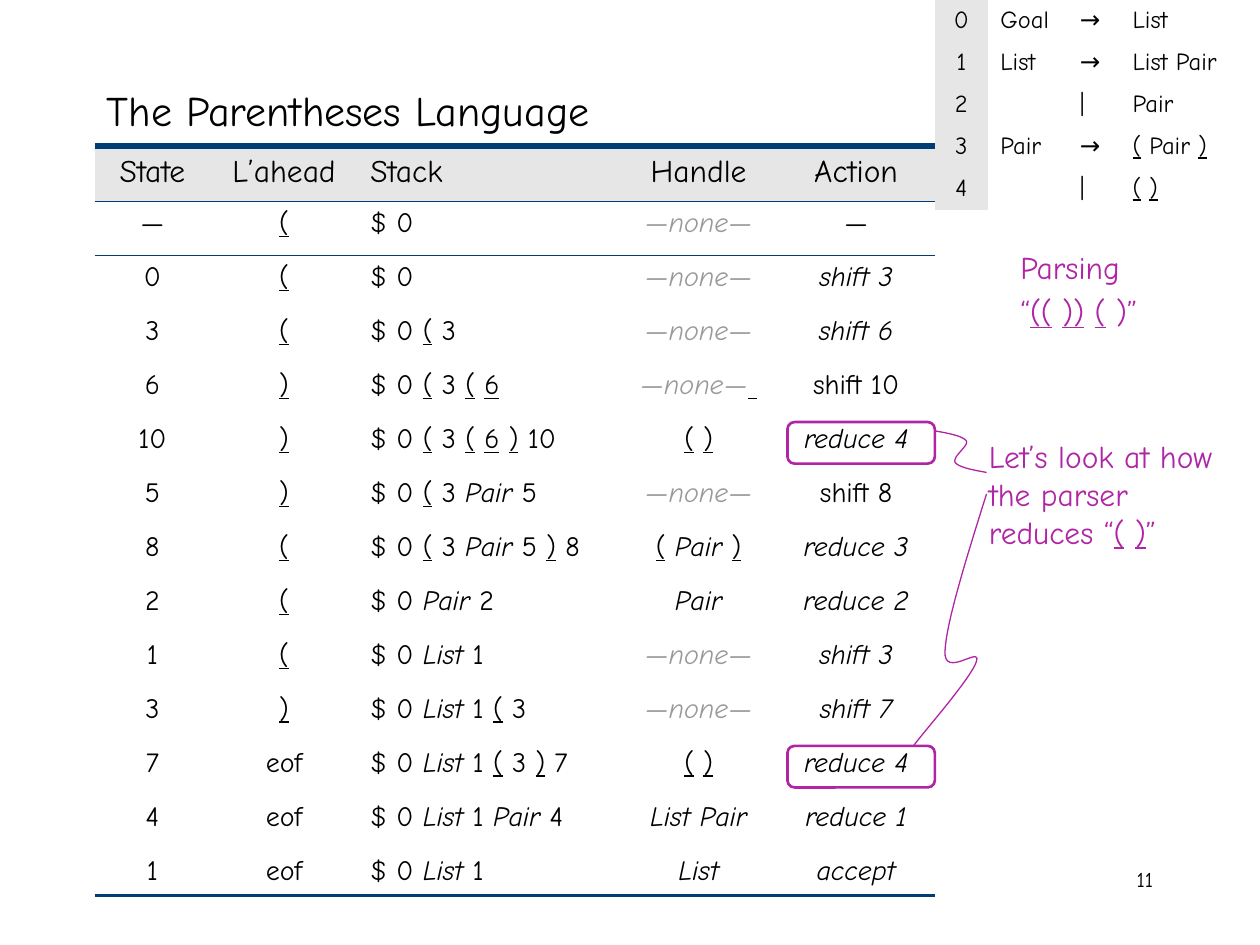
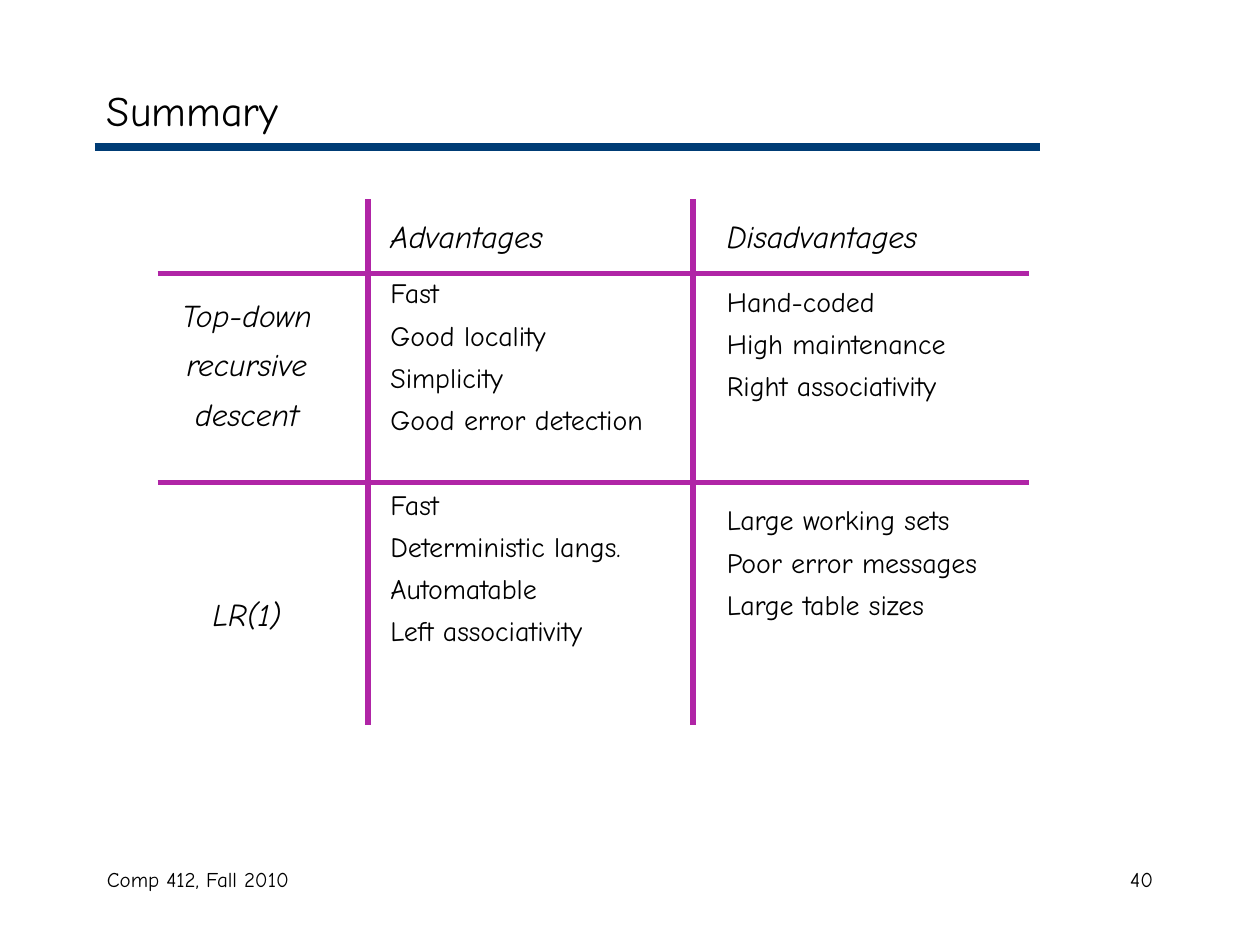
"""Build two compiler-course slides: an LR(1) parse trace and a parser comparison."""
from dataclasses import dataclass

from lxml.etree import SubElement
from pptx import Presentation
from pptx.dml.color import RGBColor
from pptx.enum.shapes import MSO_CONNECTOR, MSO_SHAPE
from pptx.enum.text import MSO_ANCHOR, PP_ALIGN as Align
from pptx.oxml.ns import qn
from pptx.slide import Slide
from pptx.table import Table, _Cell as Cell
from pptx.text.text import Font, TextFrame, _Paragraph as Paragraph
from pptx.util import Inches, Pt


@dataclass(frozen=True)
class Theme:
    font: str = "Comic Neue"
    black: str = "000000"
    white: str = "FFFFFF"
    navy: str = "003C75"
    purple: str = "B025A6"
    band: str = "E6E6E6"
    muted: str = "999999"
    title: int = 24
    heading: int = 18
    body: int = 16
    grammar: int = 14
    footer: int = 12


THEME = Theme()
NO_STYLE = "{2D5ABB26-0587-4C30-8999-92F81FD0307C}"
ITALIC, UNDERLINE, MUTED = "*", "_", "~"
NONE = "~*—none—*~"


@dataclass(frozen=True)
class Box:
    left: float
    top: float
    width: float
    height: float

    def emu(self) -> tuple[int, ...]:
        return tuple(Inches(v) for v in (self.left, self.top, self.width, self.height))


@dataclass(frozen=True)
class Line:
    markup: str
    before: float = 0
    size: int = THEME.body


@dataclass(frozen=True)
class Look:
    size: int
    color: str = THEME.black
    align: Align = Align.LEFT


@dataclass(frozen=True)
class Rule:
    start: tuple[float, float]
    end: tuple[float, float]
    color: str
    weight: float


def rgb(color: str) -> RGBColor:
    return RGBColor.from_string(color)


def segments(markup: str) -> list[tuple[str, frozenset[str]]]:
    active, found = frozenset(), []
    for char in markup:
        if char in (ITALIC, UNDERLINE, MUTED):
            active ^= {char}
        elif found and found[-1][1] == active:
            found[-1] = (found[-1][0] + char, active)
        else:
            found.append((char, active))
    return found


def emphasize(font: Font, marks: frozenset[str]) -> None:
    if ITALIC in marks:
        font.italic = True
    if UNDERLINE in marks:
        font.underline = True
    if MUTED in marks:
        font.color.rgb = rgb(THEME.muted)


def write(paragraph: Paragraph, markup: str, look: Look) -> None:
    paragraph.alignment = look.align
    font = paragraph.font
    font.name, font.size = THEME.font, Pt(look.size)
    font.color.rgb = rgb(look.color)
    parts = segments(markup)
    for text, marks in parts:
        run = paragraph.add_run()
        run.text = text
        emphasize(font if len(parts) == 1 else run.font, marks)
    if not parts:
        SubElement(paragraph._p, qn("a:endParaRPr"), sz=str(look.size * 100))


def add_text(slide: Slide, box: Box, lines: list[Line], color: str = THEME.black,
             align: Align = Align.LEFT) -> TextFrame:
    frame = slide.shapes.add_textbox(*box.emu()).text_frame
    frame.word_wrap = True
    for index, line in enumerate(lines):
        paragraph = frame.add_paragraph() if index else frame.paragraphs[0]
        if line.before:
            paragraph.space_before = Pt(line.before)
        write(paragraph, line.markup, Look(line.size, color, align))
    return frame


def add_rule(slide: Slide, rule: Rule) -> None:
    ends = [Inches(v) for v in (*rule.start, *rule.end)]
    connector = slide.shapes.add_connector(MSO_CONNECTOR.STRAIGHT, *ends)
    connector.line.color.rgb = rgb(rule.color)
    connector.line.width = Pt(rule.weight)
    SubElement(connector._element.spPr, qn("a:effectLst"))


def add_frame(slide: Slide, title: str, number: str, footer: str = "") -> None:
    add_rule(slide, Rule((0.75, 1.17), (8.25, 1.17), THEME.navy, 4.5))
    if footer:
        add_text(slide, Box(0.75, 6.83, 3.17, 0.5), [Line(footer, size=THEME.footer)])
    add_text(slide, Box(7.17, 6.83, 2.08, 0.5), [Line(number, size=THEME.footer)],
             align=Align.RIGHT)
    heading = add_text(slide, Box(0.75, 0.58, 8.5, 0.58), [Line(title, size=THEME.title)])
    heading.vertical_anchor = MSO_ANCHOR.MIDDLE


def add_grid(slide: Slide, left: float, top: float, widths: list[float],
             heights: list[float]) -> Table:
    box = Box(left, top, sum(widths), sum(heights))
    table = slide.shapes.add_table(len(heights), len(widths), *box.emu()).table
    table.first_row = table.horz_banding = False
    table._tbl.tblPr.find(qn("a:tableStyleId")).text = NO_STYLE
    for column, width in zip(table.columns, widths):
        column.width = Inches(width)
    for row, height in zip(table.rows, heights):
        row.height = Inches(height)
    return table


def border(cell: Cell, side: str, weight: float) -> None:
    edge = SubElement(cell._tc.get_or_add_tcPr(), qn(f"a:ln{side}"), w=str(Pt(weight)))
    fill = SubElement(edge, qn("a:solidFill"))
    SubElement(fill, qn("a:srgbClr"), val=THEME.navy)


def paint(cell: Cell, color: str) -> None:
    cell.fill.solid()
    cell.fill.fore_color.rgb = rgb(color)


TRACE = [
    ("State", "L’ahead", "Stack", "Handle", "Action"),
    ("—", "_(_", "$ 0", NONE, "—"),
    ("0", "_(_", "$ 0", NONE, "*shift 3*"),
    ("3", "_(_", "$ 0 _(_ 3", NONE, "*shift 6*"),
    ("6", "_)_", "$ 0 _(_ 3 _(_ _6_", NONE + "_ _", "shift 10"),
    ("10", "_)_", "$ 0 _(_ 3 _(_ _6_ _)_ 10", "_(_ _)_", "*reduce 4*"),
    ("5", "_)_", "$ 0 _(_ 3* Pair* 5", NONE, "shift 8"),
    ("8", "_(_", "$ 0 _(_ 3* Pair* 5 _)_ 8", "_(_ *Pair *_)_", "*reduce 3*"),
    ("2", "_(_", "$ 0 *Pair *2", "*Pair*", "*reduce 2*"),
    ("1", "_(_", "$ 0 *List* 1", NONE, "*shift 3*"),
    ("3", "_)_", "$ 0 *List* 1 _(_ 3", NONE, "*shift 7*"),
    ("7", "eof", "$ 0 *List *1 _(_ 3 _)_ 7", "_(_ _)_", "*reduce 4*"),
    ("4", "eof", "$ 0 *List* 1 *Pair* 4", "*List Pair*", "*reduce 1*"),
    ("1", "eof", "$ 0 *List* 1", "*List*", "*accept*"),
]

GRAMMAR = [
    ("0", "Goal", "→", "List"),
    ("1", "List", "→", "List Pair"),
    ("2", "", "|", "Pair"),
    ("3", "Pair", "→", "_(_ Pair _)_"),
    ("4", "", "|", "_(_ _)_"),
]

POINTERS = [
    [(7.42, 3.42), (7.53, 3.44), (7.64, 3.46), (7.67, 3.5), (7.69, 3.54), (7.56, 3.62),
     (7.58, 3.67), (7.61, 3.71), (7.72, 3.73), (7.83, 3.75)],
    [(7.83, 3.92), (7.67, 4.43), (7.51, 4.94), (7.5, 5.17), (7.49, 5.39), (7.79, 5.12),
     (7.75, 5.25), (7.71, 5.38), (7.33, 5.81), (7.25, 5.92)],
]


def add_trace(slide: Slide) -> None:
    last = len(TRACE) - 1
    heights = [(5.94 - 0.37) / last] * last + [0.37]
    table = add_grid(slide, 0.75, 1.17, [0.92, 1.17, 2.08, 1.25, 1.25], heights)
    edges = {0: {"T": 2.25, "B": 1}, 1: {"T": 1}, last: {"B": 2.25}}
    for r, row in enumerate(TRACE):
        size = THEME.body if r else THEME.heading
        for c, markup in enumerate(row):
            cell = table.cell(r, c)
            align = Align.LEFT if c == 2 else Align.CENTER
            write(cell.text_frame.paragraphs[0], markup, Look(size, align=align))
            for side, weight in edges.get(r, {}).items():
                border(cell, side, weight)
            if r:
                cell.fill.background()
            else:
                paint(cell, THEME.band)


def add_grammar(slide: Slide) -> None:
    table = add_grid(slide, 7.42, 0, [0.42, 0.63, 0.42, 1.12], [1.67 / 5] * 5)
    for r, row in enumerate(GRAMMAR):
        for c, markup in enumerate(row):
            cell = table.cell(r, c)
            align = Align.LEFT if c else Align.CENTER
            write(cell.text_frame.paragraphs[0], markup, Look(THEME.grammar, align=align))
            paint(cell, THEME.white if c else THEME.band)


def add_curve(slide: Slide, knots: list[tuple[float, float]], steps: int = 16) -> None:
    points = []
    for first in range(0, len(knots) - 1, 3):
        for step in range(1, steps + 1):
            t = step / steps
            weights = ((1 - t) ** 3, 3 * t * (1 - t) ** 2, 3 * t * t * (1 - t), t ** 3)
            curve = knots[first:first + 4]
            points.append(tuple(Inches(sum(w * knot[axis] for w, knot in zip(weights, curve)))
                                for axis in (0, 1)))
    builder = slide.shapes.build_freeform(*(Inches(v) for v in knots[0]))
    builder.add_line_segments(points, close=False)
    pointer = builder.convert_to_shape()
    pointer.shadow.inherit = False
    pointer.fill.background()
    pointer.line.color.rgb = rgb(THEME.purple)
    pointer.line.width = Pt(0.75)


def add_highlight(slide: Slide, top: float) -> None:
    highlight = slide.shapes.add_shape(MSO_SHAPE.ROUNDED_RECTANGLE,
                                       *Box(6.25, top, 1.17, 0.33).emu())
    highlight.adjustments[0] = 0.17
    highlight.shadow.inherit = False
    highlight.fill.background()
    highlight.line.color.rgb = rgb(THEME.purple)
    highlight.line.width = Pt(1.5)


def build_parentheses(slide: Slide) -> None:
    add_frame(slide, "The Parentheses Language", "11")
    add_trace(slide)
    parsing = [Line("Parsing", size=THEME.heading),
               Line("“_((_ _))_ _(_ )”", 3.6, THEME.heading)]
    add_text(slide, Box(8, 1.92, 1.42, 0.76), parsing, THEME.purple)
    add_grammar(slide)
    remark = Line("Let’s look at how the parser reduces “_(_ _)_”", size=THEME.heading)
    add_text(slide, Box(7.75, 3.42, 2, 1), [remark], THEME.purple)
    for top in (3.35, 5.92):
        add_highlight(slide, top)
    for knots in POINTERS:
        add_curve(slide, knots)


def add_column(slide: Slide, left: float, heading: str, groups: list[list[str]],
               gaps: list[float]) -> None:
    lines = [Line(f"*{heading}*", size=THEME.heading)]
    for group, gap in zip(groups, gaps):
        lines += [Line(item, 5 if i else gap) for i, item in enumerate(group)]
    add_text(slide, Box(left, 1.67, 2.58, 3.65), lines)


def build_summary(slide: Slide) -> None:
    add_frame(slide, "Summary", "40", "Comp 412, Fall 2010")
    add_column(slide, 3, "Advantages", [
        ["Fast", "Good locality", "Simplicity", "Good error detection"],
        ["Fast", "Deterministic langs.", "Automatable", "Left associativity"]], [12.2, 29])
    add_column(slide, 5.67, "Disadvantages", [
        ["Hand-coded", "High maintenance", "Right associativity"],
        ["Large working sets", "Poor error messages", "Large table sizes"]], [17, 57.5])
    for top, words in ((2.3, ["Top-down", "recursive", "descent"]), (4.67, ["LR(1)"])):
        lines = [Line(f"*{word}*", 6.6 if i else 0, THEME.heading)
                 for i, word in enumerate(words)]
        add_text(slide, Box(1.17, top, 1.58, 0.4 * len(words)), lines, align=Align.CENTER)
    for y in (2.17, 3.83):
        add_rule(slide, Rule((1.25, y), (8.17, y), THEME.purple, 3))
    for x in (2.92, 5.5):
        add_rule(slide, Rule((x, 1.58), (x, 5.75), THEME.purple, 3))


def main() -> None:
    deck = Presentation()
    deck.slide_width, deck.slide_height = Inches(10), Inches(7.5)
    for build in (build_parentheses, build_summary):
        build(deck.slides.add_slide(deck.slide_layouts[6]))
    deck.save("out.pptx")


if __name__ == "__main__":
    main()
